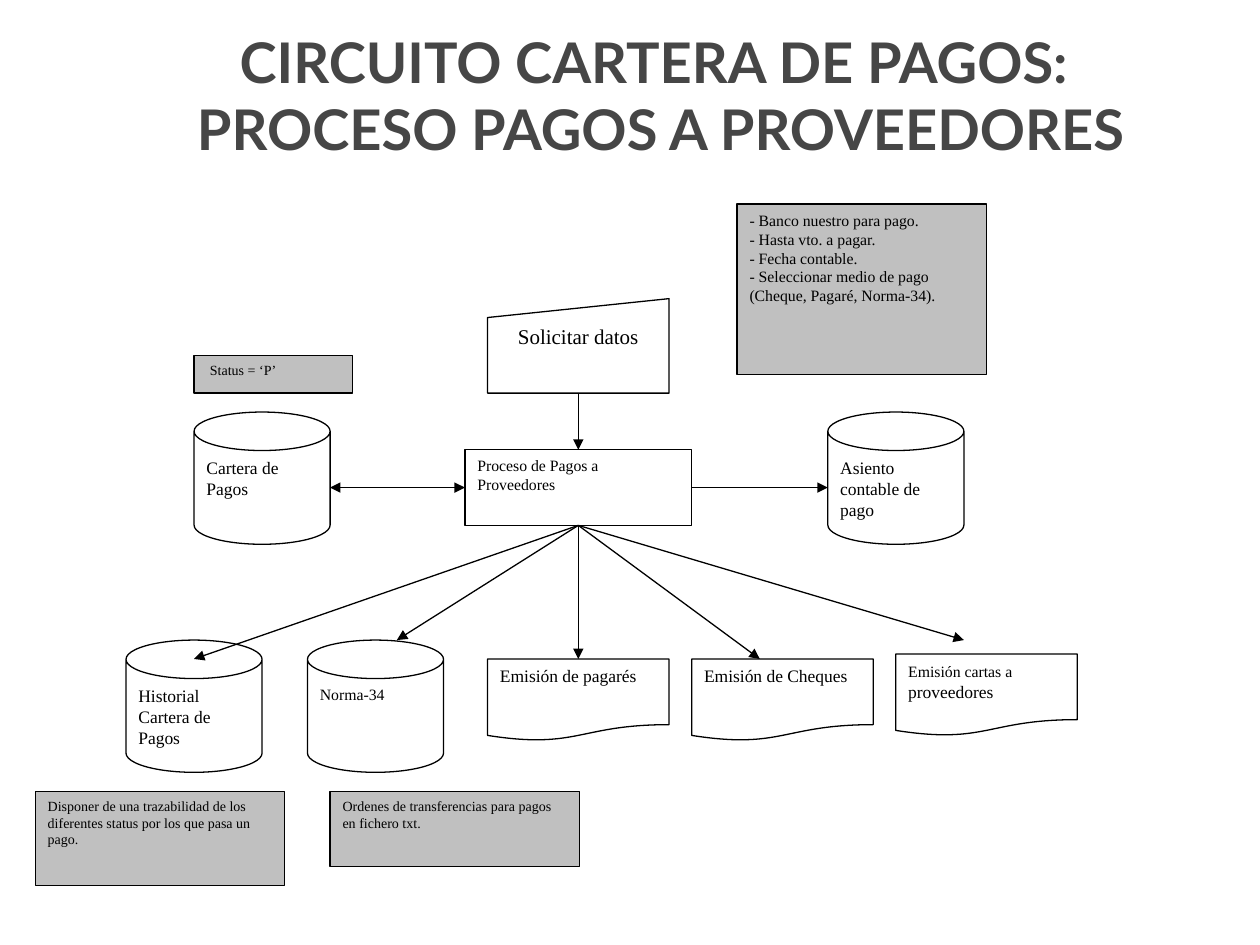
"""Build the supplier payment process flowchart slide."""
from dataclasses import dataclass

from lxml import etree
from pptx import Presentation
from pptx import util as u
from pptx.dml.color import RGBColor
from pptx.enum import shapes, text
from pptx.oxml import ns

BLACK = RGBColor(0x00, 0x00, 0x00)
WHITE = RGBColor(0xFF, 0xFF, 0xFF)
NOTE_GREY = RGBColor(0xC0, 0xC0, 0xC0)
TITLE_GREY = RGBColor(0x46, 0x46, 0x46)
TITLE_FONT = "Lato"
BODY_FONT = "Times New Roman"
LINE_WIDTH = u.Pt(0.75)

PROCESS = shapes.MSO_SHAPE.RECTANGLE
STORE = shapes.MSO_SHAPE.CAN
DOCUMENT = shapes.MSO_SHAPE.FLOWCHART_DOCUMENT
INPUT = shapes.MSO_SHAPE.FLOWCHART_MANUAL_INPUT
STORE_SIZE = (1.08, 1.05)
DOCUMENT_SIZE = (1.44, 0.65)
TITLE_LINES = ("CIRCUITO CARTERA DE PAGOS: ", "PROCESO PAGOS A PROVEEDORES")


@dataclass(frozen=True)
class Node:
    kind: shapes.MSO_SHAPE
    position: tuple[float, float]
    size: tuple[float, float]
    paragraphs: tuple[str, ...]
    points: float
    fill: RGBColor = WHITE
    centred: bool = False
    closing: str = ""
    closing_points: float = 10


@dataclass(frozen=True)
class Arrow:
    start: tuple[float, float]
    end: tuple[float, float]
    two_way: bool = False


def store(left: float, top: float, label: str, points: float = 10) -> Node:
    return Node(STORE, (left, top), STORE_SIZE, (label,), points)


def document(left: float, top: float, label: str, points: float = 10, closing: str = "") -> Node:
    return Node(DOCUMENT, (left, top), DOCUMENT_SIZE, (label,), points, closing=closing)


def note(left: float, top: float, width: float, height: float, points: float, *lines: str) -> Node:
    return Node(PROCESS, (left, top), (width, height), lines, points, NOTE_GREY)


NODES = (
    store(1, 5.08, "Historial Cartera de Pagos"),
    store(2.44, 5.08, "Norma-34", 9),
    store(1.54, 3.27, "Cartera de Pagos"),
    store(6.57, 3.27, "Asiento contable de pago"),
    document(3.87, 5.23, "Emisión de pagarés"),
    document(5.49, 5.23, "Emisión de Cheques"),
    document(7.11, 5.19, "Emisión cartas a", 9, " proveedores"),
    Node(INPUT, (3.87, 2.37), (1.44, 0.75), ("Solicitar datos",), 12, centred=True),
    Node(PROCESS, (3.69, 3.57), (1.8, 0.6), ("Proceso de Pagos a Proveedores",), 9),
    note(1.54, 2.82, 1.26, 0.3, 8, " Status = ‘P’"),
    note(0.28, 6.28, 1.98, 0.75, 8,
         "Disponer de una trazabilidad de los diferentes status por los que pasa un pago."),
    note(2.62, 6.28, 1.98, 0.6, 8, "Ordenes de transferencias para pagos en fichero txt."),
    note(5.85, 1.62, 1.98, 1.35, 9, "- Banco nuestro para pago.", "- Hasta vto. a pagar.",
         "- Fecha contable.", "- Seleccionar medio de pago (Cheque, Pagaré, Norma-34)."),
)
PROCESS_EXIT = (4.59, 4.17)
OUTPUTS = ((1.54, 5.23), (3.15, 5.08), (4.59, 5.23), (6.03, 5.23), (7.65, 5.08))
ARROWS = (
    Arrow((4.59, 3.12), (4.59, 3.57)),
    Arrow((2.62, 3.87), (3.69, 3.87), two_way=True),
    Arrow((5.49, 3.87), (6.57, 3.87)),
    *(Arrow(PROCESS_EXIT, output) for output in OUTPUTS),
)


def add_run(paragraph, content: str, font: str, points: float, color: RGBColor,
            bold: bool = False) -> None:
    run = paragraph.add_run()
    run.text = content
    run.font.name = font
    run.font.size = u.Pt(points)
    run.font.color.rgb = color
    run.font.bold = bold


def paragraph_at(frame, index: int):
    return frame.add_paragraph() if index else frame.paragraphs[0]


def set_title(title) -> None:
    title.left, title.top = u.Inches(0), u.Inches(0.16)
    title.width, title.height = u.Inches(10), u.Inches(1.18)
    frame = title.text_frame
    frame.auto_size = text.MSO_AUTO_SIZE.NONE
    frame.vertical_anchor = text.MSO_ANCHOR.MIDDLE
    for index, line in enumerate(TITLE_LINES):
        paragraph = paragraph_at(frame, index)
        paragraph.alignment = text.PP_ALIGN.CENTER
        properties = paragraph._p.get_or_add_pPr()
        properties.set("marL", "0")
        properties.set("indent", str(u.Inches(0.49)))
        add_run(paragraph, line, TITLE_FONT, 32, TITLE_GREY, bold=True)


def add_node(slide, node: Node) -> None:
    shape = slide.shapes.add_shape(node.kind, *map(u.Inches, node.position + node.size))
    shape.shadow.inherit = False
    if node.kind == STORE:
        shape.adjustments[0] = 0.291
    shape.fill.solid()
    shape.fill.fore_color.rgb = node.fill
    shape.line.color.rgb = BLACK
    shape.line.width = LINE_WIDTH
    frame = shape.text_frame
    frame.word_wrap = True
    frame.vertical_anchor = text.MSO_ANCHOR.TOP
    for index, line in enumerate(node.paragraphs):
        paragraph = paragraph_at(frame, index)
        paragraph.alignment = text.PP_ALIGN.CENTER if node.centred else text.PP_ALIGN.LEFT
        add_run(paragraph, line, BODY_FONT, node.points, BLACK)
    if node.closing:
        add_run(paragraph, node.closing, BODY_FONT, node.closing_points, BLACK)


def add_arrow(slide, arrow: Arrow) -> None:
    connector = slide.shapes.add_connector(
        shapes.MSO_CONNECTOR.STRAIGHT, *map(u.Inches, arrow.start + arrow.end))
    connector.line.color.rgb = BLACK
    connector.line.width = LINE_WIDTH
    line = connector.line._get_or_add_ln()
    for end in ("a:headEnd", "a:tailEnd") if arrow.two_way else ("a:tailEnd",):
        etree.SubElement(line, ns.qn(end), type="triangle")
    etree.SubElement(connector._element.spPr, ns.qn("a:effectLst"))


def main() -> None:
    presentation = Presentation()
    presentation.slide_width, presentation.slide_height = u.Inches(10), u.Inches(7.5)
    slide = presentation.slides.add_slide(presentation.slide_layouts.get_by_name("Title Only"))
    set_title(slide.shapes.title)
    for node in NODES:
        add_node(slide, node)
    for arrow in ARROWS:
        add_arrow(slide, arrow)
    presentation.save("out.pptx")


if __name__ == "__main__":
    main()
